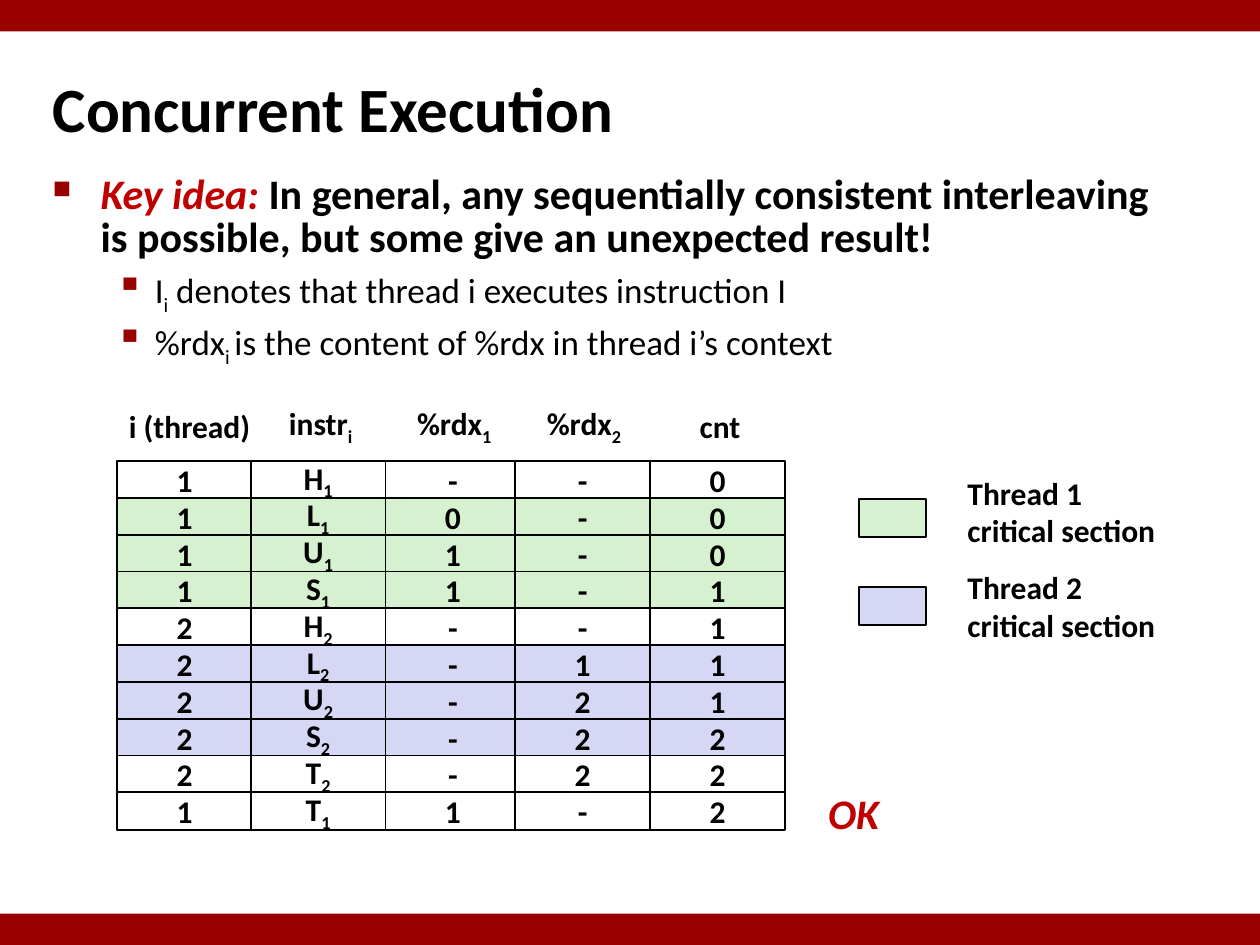
from lxml import etree
from pptx import Presentation
from pptx import util as u
from pptx.dml.color import RGBColor
from pptx.enum import shapes, text
from pptx.oxml.ns import qn

COLORS = {"band": "990000", "key": "C00000", "ink": "000000", "plain": "FFFFFF",
          "thread1": "D5F1CF", "thread2": "D6D6F5"}
LABEL = {"size": u.Pt(18), "bold": True, "name": "Calibri"}
TITLE = {**LABEL, "size": u.Pt(36)}
KEY_POINT = {**LABEL, "size": u.Pt(24)}
KEY_PHRASE = {**KEY_POINT, "italic": True}
DETAIL = {**LABEL, "size": u.Pt(20), "bold": False}
LEVELS = [
    {"left": 0.38, "hang": 0.38, "mark": "■", "mark_size": 60, "line": 0.85, "before": 0},
    {"left": 0.81, "hang": 0.31, "mark": "▪", "mark_size": 110, "line": 0.9, "before": 5},
]
COLUMNS = [("i (thread)", 0.93, 0.92, 1.17), ("instr_i", 1.99, 2.19, 0.71),
           ("%rdx_1", 3.06, 3.2, 0.81), ("%rdx_2", 4.09, 4.23, 0.81),
           ("cnt", 5.16, 5.45, 0.53)]
STEPS = [
    ("plain", "1 H_1 - - 0"), ("thread1", "1 L_1 0 - 0"),
    ("thread1", "1 U_1 1 - 0"), ("thread1", "1 S_1 1 - 1"),
    ("plain", "2 H_2 - - 1"), ("thread2", "2 L_2 - 1 1"),
    ("thread2", "2 U_2 - 2 1"), ("thread2", "2 S_2 - 2 2"),
    ("plain", "2 T_2 - 2 2"), ("plain", "1 T_1 1 - 2"),
]
GRID_TOP, ROW_PITCH, ROW_HEIGHT, COLUMN_WIDTH = 3.66, 0.292, 0.3, 1.07


def rgb(color):
    return RGBColor.from_string(COLORS[color])


def add_run(paragraph, wording, style, color="ink", subscript=False):
    run = paragraph.add_run()
    run.text = wording
    for attribute, value in style.items():
        setattr(run.font, attribute, value)
    run.font.color.rgb = rgb(color)
    if subscript:
        run.font._element.set("baseline", "-25000")


def write_label(paragraph, wording, style=LABEL, color="ink"):
    """Write wording, lowering whatever follows an underscore."""
    stem, _, index = wording.partition("_")
    add_run(paragraph, stem, style, color)
    if index:
        add_run(paragraph, index, style, color, subscript=True)


def add_box(slide, left, top, width, height, color, outlined=True):
    box = slide.shapes.add_shape(shapes.MSO_SHAPE.RECTANGLE, u.Inches(left), u.Inches(top),
                                 u.Inches(width), u.Inches(height))
    box.shadow.inherit = False
    box.fill.solid()
    box.fill.fore_color.rgb = rgb(color)
    if outlined:
        box.line.color.rgb = rgb("ink")
        box.line.width = u.Pt(1)
    else:
        box.line.fill.background()
    return box


def add_text(slide, left, top, width, height, wrap=True, anchor="TOP", align="LEFT"):
    frame = slide.shapes.add_textbox(u.Inches(left), u.Inches(top),
                                     u.Inches(width), u.Inches(height)).text_frame
    frame.word_wrap = wrap
    frame.vertical_anchor = text.MSO_ANCHOR[anchor]
    frame.paragraphs[0].alignment = text.PP_ALIGN[align]
    return frame


def add_centered_label(slide, wording, left, top, width, height, style=LABEL, color="ink"):
    frame = add_text(slide, left, top, width, height, False, "MIDDLE", "CENTER")
    write_label(frame.paragraphs[0], wording, style, color)


def format_bullet(paragraph, level):
    rule = LEVELS[level]
    paragraph.level = level
    paragraph.line_spacing = rule["line"]
    paragraph.space_before = u.Pt(rule["before"])
    properties = paragraph._p.get_or_add_pPr()
    properties.set("marL", str(u.Inches(rule["left"])))
    properties.set("indent", str(-u.Inches(rule["hang"])))
    bullet_color = etree.SubElement(properties, qn("a:buClr"))
    etree.SubElement(bullet_color, qn("a:srgbClr"), val=COLORS["band"])
    etree.SubElement(properties, qn("a:buSzPct"), val=str(rule["mark_size"] * 1000))
    etree.SubElement(properties, qn("a:buChar"), char=rule["mark"])


def add_points(slide):
    frame = add_text(slide, 0.32, 1.34, 9.09, 1.59)
    key_idea = frame.paragraphs[0]
    format_bullet(key_idea, 0)
    add_run(key_idea, "Key idea: ", KEY_PHRASE, "key")
    add_run(key_idea, "In general, any sequentially consistent interleaving is possible, "
            "but some give an unexpected result!", KEY_POINT)
    for symbol, index, meaning in (
            ("I", "i", " denotes that thread i executes instruction I"),
            ("%rdx", "i ", "is the content of %rdx in thread i’s context")):
        notation = frame.add_paragraph()
        format_bullet(notation, 1)
        add_run(notation, symbol, DETAIL)
        add_run(notation, index, DETAIL, subscript=True)
        add_run(notation, meaning, DETAIL)


def add_trace(slide):
    for heading, _, left, width in COLUMNS:
        add_centered_label(slide, heading, left, 3.18, width, 0.4)
    for row, (section, values) in enumerate(STEPS):
        top = GRID_TOP + row * ROW_PITCH
        for (_, left, _, _), value in zip(COLUMNS, values.split()):
            cell = add_box(slide, left, top, COLUMN_WIDTH, ROW_HEIGHT, section)
            cell.text_frame.vertical_anchor = text.MSO_ANCHOR.MIDDLE
            cell.text_frame.paragraphs[0].alignment = text.PP_ALIGN.CENTER
            write_label(cell.text_frame.paragraphs[0], value)


def add_legend(slide):
    for thread, swatch_top, caption_top in ((1, 3.96, 3.71), (2, 4.66, 4.46)):
        add_box(slide, 6.82, swatch_top, 0.53, ROW_HEIGHT, f"thread{thread}")
        caption = add_text(slide, 7.58, caption_top, 1.75, 0.71)
        write_label(caption.paragraphs[0], f"Thread {thread} critical section")


def main():
    """Build the concurrent execution slide."""
    deck = Presentation()
    deck.slide_width, deck.slide_height = u.Inches(10), u.Inches(7.5)
    slide = deck.slides.add_slide(deck.slide_layouts[6])
    for band_top in (0, 7.25):
        add_box(slide, 0, band_top, 10, 0.25, "band", outlined=False)
    title = add_text(slide, 0.32, 0.54, 7.24, 0.63, anchor="MIDDLE")
    write_label(title.paragraphs[0], "Concurrent Execution", TITLE)
    add_points(slide)
    add_trace(slide)
    add_legend(slide)
    add_centered_label(slide, "OK", 6.47, 6.2, 0.61, 0.5, KEY_PHRASE, "key")
    deck.save("out.pptx")


if __name__ == "__main__":
    main()
